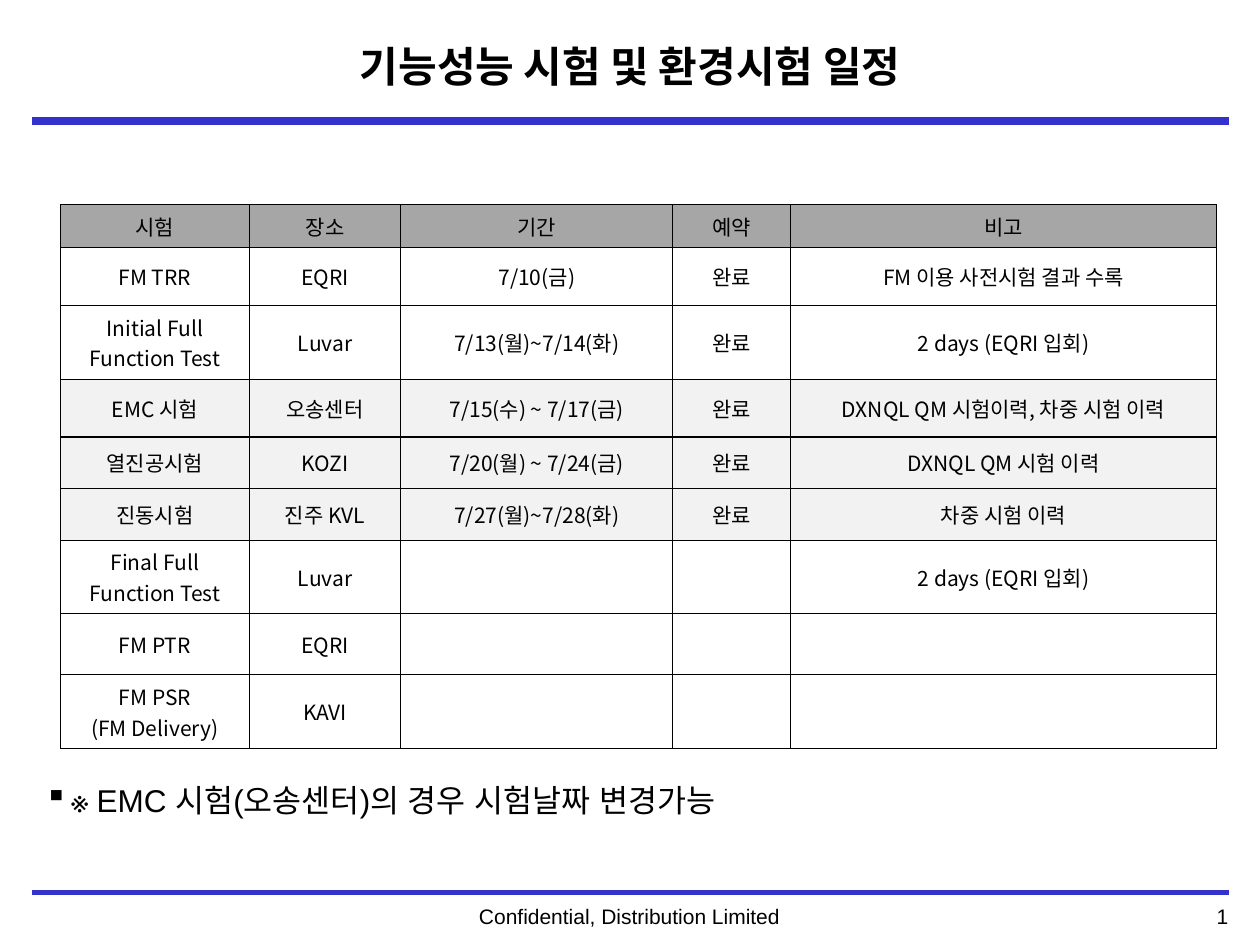
import pptx
import pptx.util
import pptx.dml.color
import pptx.enum.text
import pptx.enum.shapes
from lxml import etree

Pt = pptx.util.Pt
ALIGN = pptx.enum.text.PP_ALIGN
MIDDLE = pptx.enum.text.MSO_ANCHOR.MIDDLE
NS = "http://schemas.openxmlformats.org/drawingml/2006/main"
KR, LATIN = "Noto Sans CJK KR", "Arial"
BLACK, BLUE, HEAD, BAND = "000000", "3333CC", "A6A6A6", "F2F2F2"

TITLE = "기능성능 시험 및 환경시험 일정"
ROWS = [  # height, fill, cells
    (24.5, HEAD, ["시험", "장소", "기간", "예약", "비고"]),
    (33, None, ["FM TRR", "EQRI", "7/10(금)", "완료", "FM 이용 사전시험 결과 수록"]),
    (42, None, ["Initial Full Function Test", "Luvar", "7/13(월)~7/14(화)", "완료",
                "2 days (EQRI 입회)"]),
    (33, BAND, ["EMC 시험", "오송센터", "7/15(수) ~ 7/17(금)", "완료",
                "DXNQL QM 시험이력, 차중 시험 이력"]),
    (29.5, BAND, ["열진공시험", "KOZI", "7/20(월) ~ 7/24(금)", "완료", "DXNQL QM 시험 이력"]),
    (29.5, BAND, ["진동시험", "진주 KVL", "7/27(월)~7/28(화)", "완료", "차중 시험 이력"]),
    (42, None, ["Final Full Function Test", "Luvar", "", "", "2 days (EQRI 입회)"]),
    (35, None, ["FM PTR", "EQRI", "", "", ""]),
    (42, None, ["FM PSR\n(FM Delivery)", "KAVI", "", "", ""]),
]
COLS = [108, 86.5, 155.5, 67.5, 243]
NOTE = [("※ ", "Times New Roman"), ("EMC 시험(오송센터)의 경우 시험날짜 변경가능", LATIN)]
RULES = [(69, 4.5), (509.8, 2), (510.5, 2)]  # y, width
FOOT = [  # text, left, width, align
    ("Confidential, Distribution Limited", 176.5, 366.5, ALIGN.CENTER),
    ("1", 592.5, 116.5, ALIGN.RIGHT),
]


def color(code):
    return pptx.dml.color.RGBColor.from_string(code)


def add(node, tag, **attrs):
    return etree.SubElement(node, f"{{{NS}}}{tag}", **attrs)


def style(run, face, size, bold=False):
    for key, value in {"name": face, "size": Pt(size), "bold": bold}.items():
        setattr(run.font, key, value)
    run.font.color.rgb = color(BLACK)
    add(run.font._element, "ea", typeface=face)


def write(frame, text, face, size, align, bold=False):
    frame.word_wrap = True
    frame.text = text
    for para in frame.paragraphs:
        para.alignment = align
        for run in para.runs:
            style(run, face, size, bold)


def border(cell):
    props = cell._tc.get_or_add_tcPr()
    for i, side in enumerate(("lnL", "lnR", "lnT", "lnB")):
        line = etree.Element(f"{{{NS}}}{side}", w=str(Pt(0.75)))
        add(add(line, "solidFill"), "srgbClr", val=BLACK)
        props.insert(i, line)


def add_rules(slide):
    for y, width in RULES:
        rule = slide.shapes.add_connector(
            pptx.enum.shapes.MSO_CONNECTOR.STRAIGHT, Pt(18), Pt(y), Pt(702), Pt(y))
        rule.line.color.rgb = color(BLUE)
        rule.line.width = Pt(width)
        add(rule._element.spPr, "effectLst")


def add_title(slide):
    title = slide.shapes.title
    box = {"left": 96, "top": 10, "width": 528, "height": 55.5}
    for key, value in box.items():
        setattr(title, key, Pt(value))
    title.text_frame.vertical_anchor = MIDDLE
    write(title.text_frame, TITLE, KR, 24, ALIGN.CENTER, True)


def add_plan(slide):
    heights = [row[0] for row in ROWS]
    table = slide.shapes.add_table(len(ROWS), len(COLS), Pt(34.5), Pt(117),
                                   Pt(sum(COLS)), Pt(sum(heights))).table
    for col, width in zip(table.columns, COLS):
        col.width = Pt(width)
    for row, (height, fill, texts) in zip(table.rows, ROWS):
        row.height = Pt(height)
        for cell, text in zip(row.cells, texts):
            cell.vertical_anchor = MIDDLE
            if fill:
                cell.fill.solid()
                cell.fill.fore_color.rgb = color(fill)
            else:
                cell.fill.background()
            write(cell.text_frame, text, KR, 12, ALIGN.CENTER)
            border(cell)


def add_note(slide):
    frame = slide.shapes.add_textbox(Pt(18.5), Pt(442.5), Pt(693), Pt(36)).text_frame
    frame.word_wrap = True
    para = frame.paragraphs[0]
    props = para._p.get_or_add_pPr()
    props.set("marL", str(Pt(15)))
    props.set("indent", str(-Pt(15)))
    add(props, "buChar", char="▪")
    for text, face in NOTE:
        run = para.add_run()
        run.text = text
        style(run, face, 18)


def add_foot(slide):
    for text, left, width, align in FOOT:
        box = slide.shapes.add_textbox(Pt(left), Pt(512.5), Pt(width), Pt(21.5))
        write(box.text_frame, text, LATIN, 12, align)


def main():
    deck = pptx.Presentation()
    deck.slide_width, deck.slide_height = Pt(720), Pt(540)
    slide = deck.slides.add_slide(deck.slide_layouts[5])
    for part in (add_rules, add_title, add_plan, add_note, add_foot):
        part(slide)
    deck.save("out.pptx")


if __name__ == "__main__":
    main()
